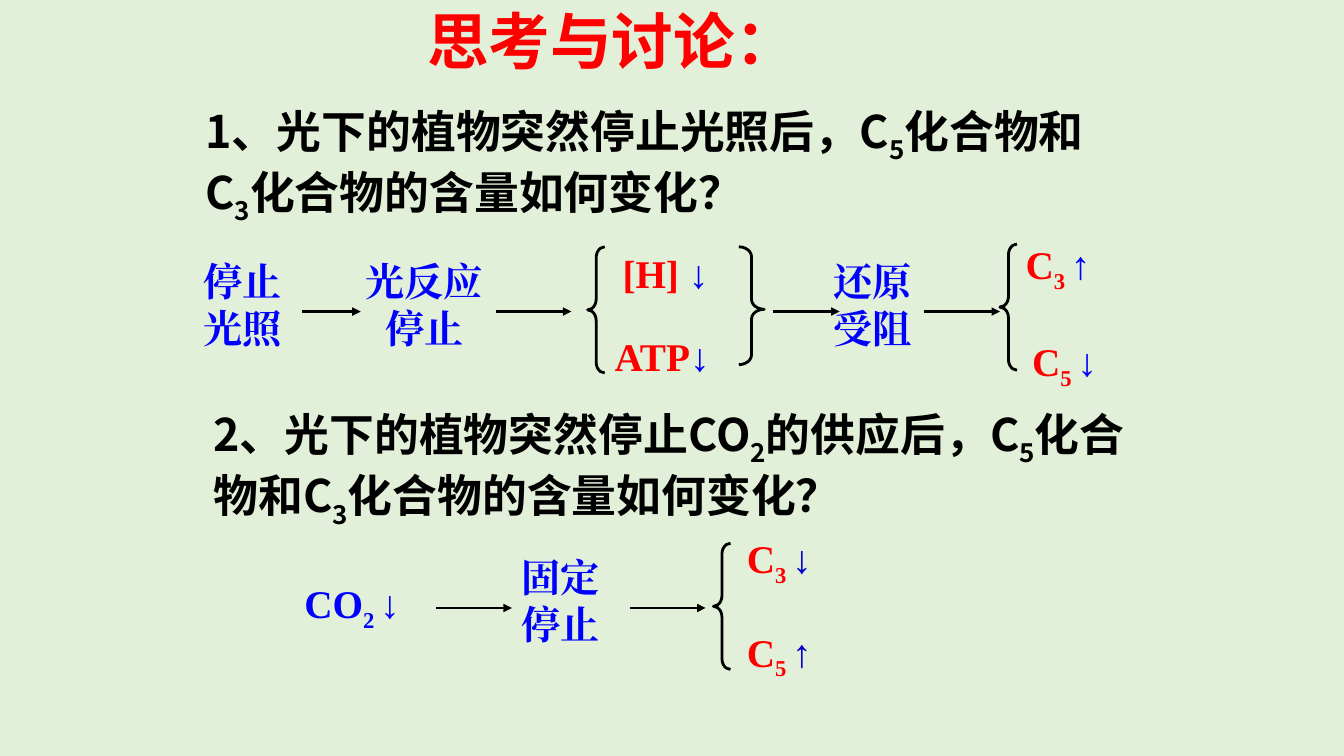
from lxml.etree import SubElement
from pptx import Presentation
from pptx.dml.color import RGBColor
from pptx.enum.shapes import MSO_CONNECTOR, MSO_SHAPE
from pptx.enum.text import MSO_AUTO_SIZE, PP_ALIGN
from pptx.oxml.ns import qn
from pptx.util import Cm, Pt

RED, BLUE, NAVY, BLACK = "FF0000", "0000FF", "0000CC", "000000"
SANS, SERIF = "Noto Sans CJK SC", "Times New Roman"


def paint(tone):
    return RGBColor.from_string(tone)


class Board:
    def __init__(self, deck, back):
        self.slide = deck.slides.add_slide(deck.slide_layouts[6])
        fill = self.slide.background.fill
        fill.solid()
        fill.fore_color.rgb = paint(back)

    def text(self, words, x, y, w, h, tone, size=28, face=SERIF, wrap=True, mid=False, tint=None):
        box = self.slide.shapes.add_textbox(Cm(x), Cm(y), Cm(w), Cm(h))
        frame = box.text_frame
        frame.word_wrap = wrap
        frame.auto_size = MSO_AUTO_SIZE.SHAPE_TO_FIT_TEXT
        para = frame.paragraphs[0]
        para.alignment = PP_ALIGN.CENTER if mid else PP_ALIGN.LEFT
        for part in words.split("|"):
            run = para.add_run()
            run.text = part.lstrip("_")
            font = run.font
            font.size, font.bold, font.name = Pt(size), True, face
            font.color.rgb = paint(tint if tint and part in "↑↓" else tone)
            props = run._r.get_or_add_rPr()
            SubElement(props, qn("a:ea")).set("typeface", face)
            if part.startswith("_"):
                props.set("baseline", "-25000")

    def arrow(self, start, end, y):
        line = self.slide.shapes.add_connector(MSO_CONNECTOR.STRAIGHT, Cm(start), Cm(y), Cm(end), Cm(y))
        line.line.color.rgb = paint(BLACK)
        line.line.width = Pt(2)
        SubElement(line.line._get_or_add_ln(), qn("a:tailEnd")).set("type", "triangle")
        SubElement(line._element.spPr, qn("a:effectLst"))

    def brace(self, x, y, w=0.43, h=3.18, kind=MSO_SHAPE.LEFT_BRACE, curve=0.625, point=0.5):
        shape = self.slide.shapes.add_shape(kind, Cm(x), Cm(y), Cm(w), Cm(h))
        shape.adjustments[0] = curve
        shape.adjustments[1] = point
        shape.shadow.inherit = False
        shape.fill.background()
        shape.line.color.rgb = paint(BLACK)
        shape.line.width = Pt(2)


def main():
    deck = Presentation()
    deck.slide_width, deck.slide_height = Cm(33.87), Cm(19.05)
    board = Board(deck, "E2F0D9")

    board.text("思考与讨论：", 8.53, -0.05, 13.79, 2.11, RED, 44, "Calibri", mid=True)
    asks = [
        ("1、光下的植物突然停止光照后，C|_5|化合物和C|_3|化合物的含量如何变化？", 4.93, 2.49, 23.19),
        ("2、光下的植物突然停止CO|_2|的供应后，C|_5|化合物和C|_3|化合物的含量如何变化？", 5.13, 10.13, 23.9),
    ]
    for words, x, y, w in asks:
        board.text(words, x, y, w, 2.97, BLACK, 32, SANS)

    steps = [
        ("停止光照", 4.88, 6.35, 2.97, False),
        ("光反应停止", 8.69, 6.35, 4.01, True),
        ("还原受阻", 20.75, 6.35, 3.38, False),
        ("固定停止", 12.9, 13.82, 3.38, False),
    ]
    for words, x, y, w, mid in steps:
        board.text(words, x, y, w, 2.62, BLUE, mid=mid)

    labels = [
        ("[H] |↓", 15.44, 6.15, 2.95, RED, BLUE),
        ("ATP|↓", 15.24, 8.26, 2.92, RED, BLUE),
        ("C|_3 |↑", 25.6, 5.94, 3.2, RED, BLUE),
        ("C|_5 |↓", 25.76, 8.38, 2.24, RED, BLUE),
        ("CO|_2 |↓", 7.42, 14.48, 3, BLUE, BLUE),
        ("C|_3 |↓", 18.57, 13.34, 2.24, RED, NAVY),
        ("C|_5 |↑", 18.57, 15.7, 2.24, RED, NAVY),
    ]
    for words, x, y, w, tone, tint in labels:
        board.text(words, x, y, w, 1.45, tone, wrap=False, tint=tint)

    rows = {
        7.85: [(7.62, 9.09), (12.5, 14.4), (19.48, 21.16), (23.29, 25.2)],
        15.32: [(11, 12.9), (15.88, 17.78)],
    }
    for y, spans in rows.items():
        for start, end in spans:
            board.arrow(start, end, y)

    for x, y in [(14.81, 6.22), (25.2, 6.15), (17.98, 13.69)]:
        board.brace(x, y)
    board.brace(18.62, 6.22, 0.64, 2.97, MSO_SHAPE.RIGHT_BRACE, 0.39, 0.53)

    deck.save("out.pptx")


if __name__ == "__main__":
    main()
